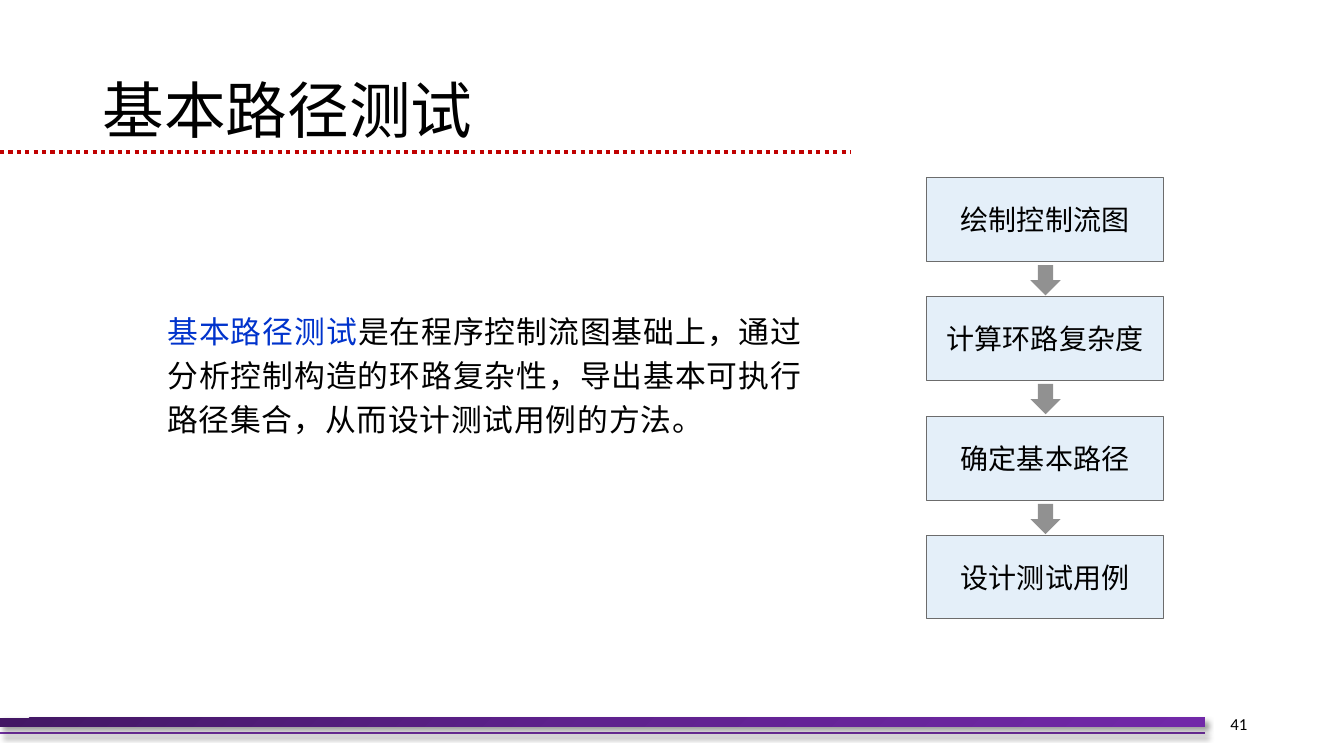
from copy import deepcopy

from lxml import etree
from pptx import Presentation
from pptx import util as u
from pptx.dml.color import RGBColor
from pptx.enum import dml, shapes, text
from pptx.oxml.ns import qn

PX = 9144
CJK = "Noto Sans CJK SC"
STEPS = ["绘制控制流图", "计算环路复杂度", "确定基本路径", "设计测试用例"]
STEP_LEFT, STEP_TOP, STEP_WIDTH, STEP_HEIGHT = 919, 176, 235, 83
LAST_STEP_TOP = 531
ARROW_SIZE = 30
BAR_STOPS = [(0, "431764"), (0.5, "5F218E"), (1, "7128A8")]


def px(*lengths):
    return [u.Emu(length * PX) for length in lengths]


def colour(value):
    return RGBColor.from_string(value)


def apply(target, values):
    for name, value in values.items():
        setattr(target, name, value)


def add_shadow(effects):
    shadow = etree.SubElement(effects, qn("a:outerShdw"), blurRad="50800",
                              dist="38100", dir="2700000", algn="tl", rotWithShape="0")
    black = etree.SubElement(shadow, qn("a:srgbClr"), val="000000")
    etree.SubElement(black, qn("a:alpha"), val="40000")


def add_rule(slide, y, right, hue, weight, dash=None):
    rule = slide.shapes.add_connector(shapes.MSO_CONNECTOR.STRAIGHT, *px(0, y, right, y))
    rule.line.color.rgb = colour(hue)
    apply(rule.line, {"width": u.Pt(weight), "dash_style": dash})
    return etree.SubElement(rule._element.spPr, qn("a:effectLst"))


def add_block(slide, kind, box, fill=None, outline=None):
    block = slide.shapes.add_shape(kind, *px(*box))
    block.shadow.inherit = False
    if fill:
        block.fill.solid()
        block.fill.fore_color.rgb = colour(fill)
    if outline:
        block.line.color.rgb = colour(outline)
        block.line.width = u.Pt(0.5)
    else:
        block.line.fill.background()
    return block


def add_footer_bar(slide):
    bar = add_block(slide, shapes.MSO_SHAPE.RECTANGLE, (0, 712, 1195, 9))
    bar.fill.gradient()
    bar.fill.gradient_angle = 315
    stop_list = bar._element.spPr.find(".//" + qn("a:gsLst"))
    stop_list.insert(1, deepcopy(stop_list[0]))
    for stop, (position, hue) in zip(bar.fill.gradient_stops, BAR_STOPS):
        stop.color.rgb = colour(hue)
        stop.position = position
    add_shadow(bar._element.spPr.find(qn("a:effectLst")))


def write(frame, runs, size, font=CJK, spacing=None, frame_format=None, paragraph_format=None):
    apply(frame, {"word_wrap": True, **(frame_format or {})})
    paragraph = frame.paragraphs[0]
    apply(paragraph, paragraph_format or {})
    for words, hue in runs:
        run = paragraph.add_run()
        run.text = words
        apply(run.font, {"size": u.Pt(size), "name": font})
        run.font.color.rgb = colour(hue)
        properties = run.font._element
        etree.SubElement(properties, qn("a:ea"), typeface=font)
        if spacing:
            properties.set("spc", str(spacing))


def add_text(slide, box, runs, size, **options):
    write(slide.shapes.add_textbox(*px(*box)).text_frame, runs, size, **options)


def add_flow(slide):
    no_margins = dict.fromkeys(
        ["margin_left", "margin_right", "margin_top", "margin_bottom"], 0)
    pitch = (LAST_STEP_TOP - STEP_TOP) / (len(STEPS) - 1)
    for index, step in enumerate(STEPS):
        top = round(STEP_TOP + index * pitch)
        block = add_block(slide, shapes.MSO_SHAPE.RECTANGLE,
                          (STEP_LEFT, top, STEP_WIDTH, STEP_HEIGHT), "E4EFF9", "6C6C6C")
        write(block.text_frame, [(step, "000000")], 20,
              frame_format={**no_margins, "vertical_anchor": text.MSO_ANCHOR.MIDDLE},
              paragraph_format={"alignment": text.PP_ALIGN.CENTER})
        if index < len(STEPS) - 1:
            add_block(slide, shapes.MSO_SHAPE.DOWN_ARROW,
                      (1022, top + STEP_HEIGHT + 4, ARROW_SIZE, ARROW_SIZE), "919191")


def main():
    deck = Presentation()
    deck.slide_width, deck.slide_height = px(1333, 750)
    slide = deck.slides.add_slide(deck.slide_layouts[6])
    middle = {"vertical_anchor": text.MSO_ANCHOR.MIDDLE}

    add_shadow(add_rule(slide, 727, 1195, "7030A0", 1.5))
    add_footer_bar(slide)
    add_rule(slide, 151, 844, "C00000", 3, dml.MSO_LINE.ROUND_DOT)

    add_text(slide, (92, 40, 1150, 145), [("基本路径测试", "000000")], 44,
             frame_format=middle, paragraph_format={"line_spacing": 0.9})
    definition = [
        ("基本路径测试", "0033CC"),
        ("是在程序控制流图基础上，通过分析控制构造的环路复杂性，"
         "导出基本可执行路径集合，从而设计测试用例的方法。", "000000"),
    ]
    add_text(slide, (166, 302, 630, 133), definition, 22, spacing=60,
             frame_format={"margin_left": 0, "margin_right": 0,
                           "margin_top": PX, "margin_bottom": 0},
             paragraph_format={"alignment": text.PP_ALIGN.JUSTIFY, "line_spacing": 1.19})
    add_flow(slide)
    add_text(slide, (1138, 698, 109, 40), [("41", "000000")], 12, font="Calibri",
             frame_format=middle, paragraph_format={"alignment": text.PP_ALIGN.RIGHT})
    deck.save("out.pptx")


if __name__ == "__main__":
    main()
